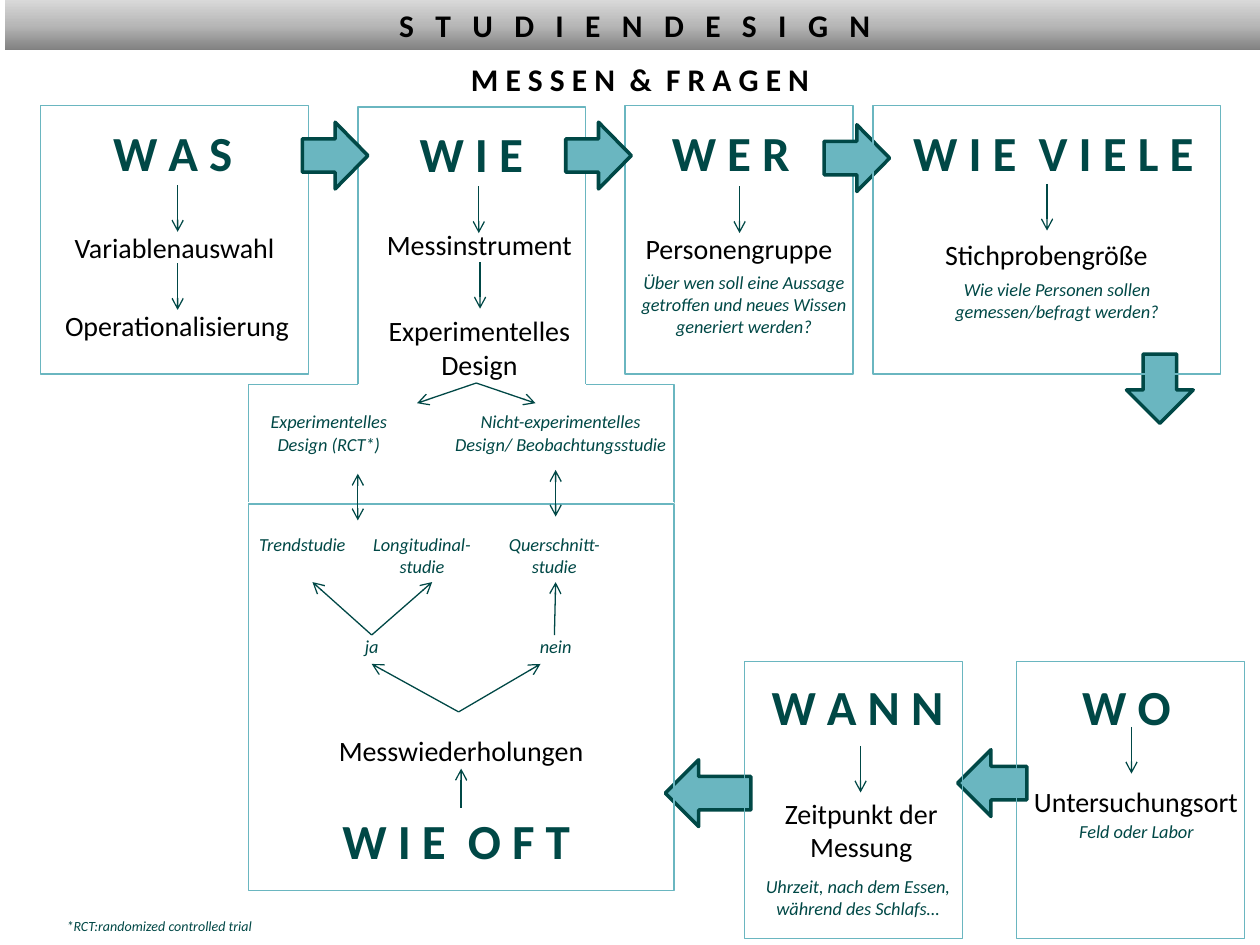
from lxml.etree import SubElement
from pptx import Presentation
from pptx.dml.color import RGBColor
from pptx.enum.shapes import MSO_CONNECTOR, MSO_SHAPE
from pptx.enum.text import MSO_ANCHOR, MSO_AUTO_SIZE, PP_ALIGN
from pptx.oxml import parse_xml
from pptx.oxml.ns import nsdecls, qn
from pptx.util import Inches, Pt

FONT = "Calibri"
DARK, TEAL, BLACK, WHITE = "004846", "6AB6C0", "000000", "FFFFFF"
SPACE = 0.226  # width of a space as a share of the text size
STEP = 0.37    # length of a short arrow

# Content: left, top, width, height, then the words
TITLE = "S T U D I E N D E S I G N"
SUBTITLE = (0.08, 0.43, 10, 0.4, ["M E S S E N", "&", "F R A G E N"])
QUESTIONS = [
    (0.78, 0.92, 1.18, 0.57, ["W A S"]),
    (3.19, 0.93, 1.1, 0.57, ["W I E"]),
    (5.13, 0.92, 1.34, 0.57, ["W E R"]),
    (7.13, 0.92, 2.46, 0.57, ["W I E", "V I E L E"]),
    (8.39, 5.32, 1.1, 0.57, ["W O"]),
    (5.94, 5.32, 1.73, 0.57, ["W A N N"]),
    (2.4, 6.38, 2.44, 0.57, ["W I E", "O F T"]),
]
TOPICS = [
    (0.44, 1.78, 1.89, 0.37, "Variablenauswahl"),
    (0.34, 2.4, 2.13, 0.37, "Operationalisierung"),
    (2.86, 1.76, 1.89, 0.37, "Messinstrument"),
    (2.74, 2.44, 2.13, 0.64, "Experimentelles Design"),
    (4.92, 1.79, 1.89, 0.37, "Personengruppe"),
    (7.36, 1.84, 1.89, 0.37, "Stichprobengröße"),
    (8.07, 6.18, 1.89, 0.37, "Untersuchungsort"),
    (5.89, 6.27, 1.89, 0.64, "Zeitpunkt der Messung"),
    (2.56, 5.77, 2.2, 0.37, "Messwiederholungen"),
]
DETAILS = [
    (4.84, 2.1, 2.13, 0.63, "Über wen soll eine Aussage getroffen und neues Wissen generiert werden?"),
    (7.05, 2.16, 2.68, 0.45, "Wie viele Personen sollen gemessen/befragt werden?"),
    (8.39, 6.46, 1.26, 0.28, "Feld oder Labor"),
    (5.71, 6.9, 2.2, 0.45, "Uhrzeit, nach dem Essen, während des Schlafs…"),
    (1.97, 3.21, 1.28, 0.45, "Experimentelles Design (RCT*)"),
    (3.5, 3.21, 1.9, 0.45, "Nicht-experimentelles Design/ Beobachtungsstudie"),
    (1.85, 4.18, 1.1, 0.28, "Trendstudie"),
    (2.8, 4.18, 1.1, 0.45, "Longitudinal-\nstudie"),
    (3.85, 4.18, 1.1, 0.45, "Querschnitt-studie"),
    (2.4, 4.99, 1.1, 0.28, "ja"),
    (3.86, 4.99, 1.1, 0.28, "nein"),
]
FOOTNOTE = (0.43, 7.23, 1.7, 0.24, "*RCT:randomized controlled trial")

BACK_BOXES = [(4.96, 0.84, 1.81, 2.13), (0.32, 0.84, 2.13, 2.13), (2.84, 0.85, 1.81, 2.2)]
FRONT_BOXES = [(6.93, 0.84, 2.76, 2.13), (8.07, 5.25, 1.81, 2.2), (5.91, 5.25, 1.73, 2.2),
               (1.97, 4, 3.38, 3.07), (1.97, 3.05, 3.38, 0.94)]
BLOCK_ARROWS = [(2.4, 0.97, 0.52, 0), (4.49, 0.97, 0.52, 0), (6.54, 0.99, 0.52, 0),
                (8.93, 2.82, 0.55, 90), (7.6, 5.95, 0.55, 180), (5.28, 6.03, 0.68, 180)]
DOWN_STEPS = [(1.41, 1.47), (1.41, 2.09), (3.8, 1.48), (3.81, 2.08), (5.87, 1.48),
              (8.31, 1.46), (8.98, 5.77), (6.83, 5.92)]
DOUBLE_STEPS = [(2.84, 3.76), (4.41, 3.73)]
BRANCHES = [  # start point, then the points it leads to
    ((3.78, 3.04), [(3.31, 3.2), (4.25, 3.2)]),
    ((2.95, 5.04), [(2.48, 4.62), (3.43, 4.62)]),
    ((4.4, 5.04), [(4.41, 4.62)]),
    ((3.64, 5.65), [(2.95, 5.27), (4.29, 5.27)]),
    ((3.66, 6.41), [(3.66, 6.1)]),
]
OPENINGS = [((2.84, 3.05), (4.65, 3.05)), ((1.97, 3.99), (5.35, 3.99))]


def rgb(color):
    return RGBColor.from_string(color)


def add_run(p, text, size, color, bold=False, italic=False, spacing=0):
    r = p.add_run()
    r.text = text
    f = r.font
    f.name, f.size, f.bold, f.italic = FONT, Pt(size), bold, italic
    f.color.rgb = rgb(color)
    if spacing:
        r._r.get_or_add_rPr().set("spc", str(round(spacing * 100)))


def text_box(left, top, width, height, align=PP_ALIGN.CENTER, wrap=True):
    tb = s.shapes.add_textbox(*map(Inches, (left, top, width, height)))
    tf = tb.text_frame
    tf.word_wrap = wrap
    tf.paragraphs[0].alignment = align
    return tf


def add_heading(left, top, width, height, words, size, color):
    p = text_box(left, top, width, height, wrap=False).paragraphs[0]
    for i, word in enumerate(words):
        if i:
            add_run(p, " ", size, color, bold=True, spacing=size * SPACE)
        add_run(p, word, size, color, bold=True)


def add_text(left, top, width, height, text, size, color, italic=False, **frame):
    tf = text_box(left, top, width, height, **frame)
    for i, line in enumerate(text.split("\n")):
        p = tf.add_paragraph() if i else tf.paragraphs[0]
        p.alignment = tf.paragraphs[0].alignment
        add_run(p, line, size, color, italic=italic)


def add_shape(kind, left, top, width, height, line, weight, fill=None):
    sp = s.shapes.add_shape(kind, *map(Inches, (left, top, width, height)))
    sp.shadow.inherit = False
    sp.line.color.rgb, sp.line.width = rgb(line), Pt(weight)
    if fill:
        sp.fill.solid()
        sp.fill.fore_color.rgb = rgb(fill)
    else:
        sp.fill.background()
    return sp


def add_line(start, end, color=DARK, ends=("tailEnd",)):
    c = s.shapes.add_connector(MSO_CONNECTOR.STRAIGHT, *map(Inches, (*start, *end)))
    c.line.color.rgb, c.line.width = rgb(color), Pt(0.75)
    for end_tag in ends:
        SubElement(c.line._get_or_add_ln(), qn("a:" + end_tag)).set("type", "arrow")
    SubElement(c._element.spPr, qn("a:effectLst"))


prs = Presentation()
prs.slide_width, prs.slide_height = Inches(10), Inches(7.5)
s = prs.slides.add_slide(prs.slide_layouts[5])

# Title bar
title = s.shapes.title
title.left, title.top, title.width, title.height = map(Inches, (0.04, 0, 10, 0.4))
stops = "".join(f'<a:gs pos="{pos}"><a:srgbClr val="{color}"/></a:gs>'
                for pos, color in ((0, "808080"), (50000, "B7B7B7"), (100000, "D9D9D9")))
title._element.spPr.append(parse_xml(
    f'<a:gradFill {nsdecls("a")} rotWithShape="1"><a:gsLst>{stops}</a:gsLst>'
    '<a:lin ang="16200000" scaled="0"/></a:gradFill>'))
tf = title.text_frame
tf.auto_size, tf.vertical_anchor = MSO_AUTO_SIZE.NONE, MSO_ANCHOR.TOP
tf.paragraphs[0].alignment = PP_ALIGN.CENTER
add_run(tf.paragraphs[0], TITLE, 18, BLACK, bold=True, spacing=18 * SPACE)

# Boxes behind the text
for box in BACK_BOXES:
    add_shape(MSO_SHAPE.RECTANGLE, *box, TEAL, 0.75)

# Texts
add_heading(*SUBTITLE, 18, BLACK)
for question in QUESTIONS:
    add_heading(*question, 28, DARK)
for topic in TOPICS:
    add_text(*topic, 16, BLACK)
for detail in DETAILS:
    add_text(*detail, 10.5, DARK, italic=True)
add_text(*FOOTNOTE, 8, DARK, italic=True, align=PP_ALIGN.LEFT, wrap=False)

# Block arrows, then the boxes in front of them
for left, top, width, turn in BLOCK_ARROWS:
    add_shape(MSO_SHAPE.RIGHT_ARROW, left, top, width, 0.53, DARK, 2, TEAL).rotation = turn
for box in FRONT_BOXES:
    add_shape(MSO_SHAPE.RECTANGLE, *box, TEAL, 0.75)

# White lines that open the joined boxes, then the thin arrows
for start, end in OPENINGS:
    add_line(start, end, WHITE, ())
for x, y in DOWN_STEPS:
    add_line((x, y), (x, y + STEP))
for x, y in DOUBLE_STEPS:
    add_line((x, y), (x, y + STEP), ends=("headEnd", "tailEnd"))
for start, targets in BRANCHES:
    for target in targets:
        add_line(start, target)

prs.save("out.pptx")
